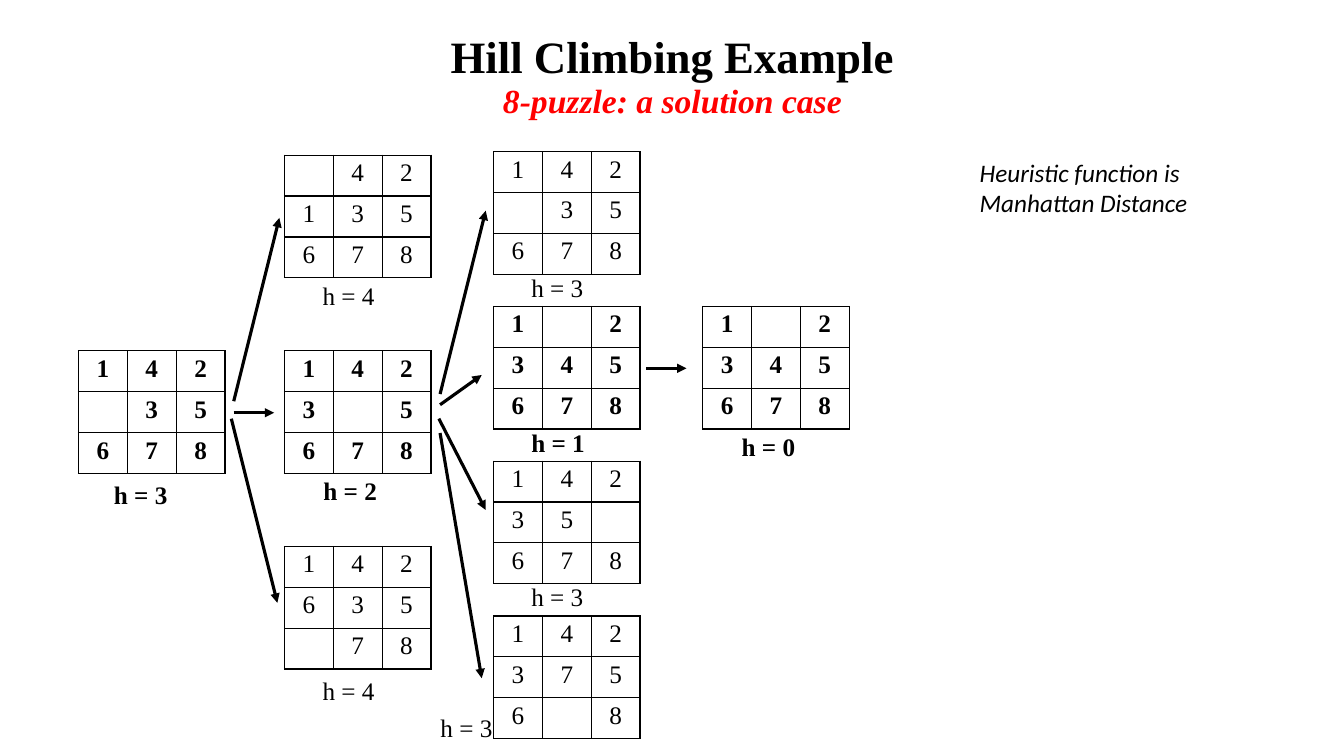
from lxml import etree
from pptx import Presentation
from pptx.dml.color import RGBColor
from pptx.enum.shapes import MSO_CONNECTOR
from pptx.enum.text import PP_ALIGN
from pptx.oxml import parse_xml
from pptx.oxml.ns import qn
from pptx.util import Cm, Pt

STRAIGHT = MSO_CONNECTOR.STRAIGHT
CENTER = PP_ALIGN.CENTER
NS = "http://schemas.openxmlformats.org/drawingml/2006/main"
SERIF = "Times New Roman"
BLACK = "000000"
CELL_W, CELL_H = 1.23, 1.03


def color(value):
    return RGBColor.from_string(value)


def add_text(x, y, w, h, lines, top=0.08):
    tf = s.shapes.add_textbox(Cm(x), Cm(y), Cm(w), Cm(h)).text_frame
    tf.word_wrap = True
    tf.margin_left = tf.margin_right = tf.margin_bottom = 0
    tf.margin_top = Cm(top)
    for i, (text, font, size, bold, italic, rgb) in enumerate(lines):
        p = tf.add_paragraph() if i else tf.paragraphs[0]
        p.text = text
        p.font.name, p.font.size = font, Pt(size)
        p.font.bold, p.font.italic = bold, italic
        p.font.color.rgb = color(rgb)
    return tf


prs = Presentation()
prs.slide_width, prs.slide_height = Cm(33.87), Cm(19.05)
s = prs.slides.add_slide(prs.slide_layouts[6])

title = add_text(3.43, 0.71, 27.03, 2.29, [
    ("Hill Climbing Example", SERIF, 32, True, False, BLACK),
    ("8-puzzle: a solution case", SERIF, 24, True, True, "FF0000"),
], top=0.06)
for p, spacing in zip(title.paragraphs, (37, 27.4)):
    p.alignment = CENTER
    p.line_spacing = Pt(spacing)

add_text(24.69, 3.89, 5.31, 1.6, [
    ("Heuristic function is Manhattan Distance", "Calibri", 18, False, True, BLACK)])

col1, col2, col3, col4 = 1.98, 7.17, 12.44, 17.71
col2_tops = [3.91 + 4.93 * i for i in range(3)]
col3_tops = [3.82 + 3.9 * i for i in range(4)]

boards = [
    (col1, col2_tops[1], ("142", " 35", "678"), True, "h = 3", 0.89, 3.17),
    (col2, col2_tops[0], (" 42", "135", "678"), False, "h = 4", 0.96, 3.08),
    (col2, col2_tops[1], ("142", "3 5", "678"), True, "h = 2", 0.98, 3.07),
    (col2, col2_tops[2], ("142", "635", " 78"), False, "h = 4", 0.96, 3.17),
    (col3, col3_tops[0], ("142", " 35", "678"), False, "h = 3", 0.95, 2.96),
    (col3, col3_tops[1], ("1 2", "345", "678"), True, "h = 1", 0.95, 2.96),
    (col3, col3_tops[2], ("142", "35 ", "678"), False, "h = 3", 0.95, 2.96),
    (col3, col3_tops[3], ("142", "375", "6 8"), False, "h = 3", -1.34, 2.35),
    (col4, col3_tops[1], ("1 2", "345", "678"), True, "h = 0", 0.98, 3.06),
]

for x, y, rows, bold, label, dx, dy in boards:
    table = s.shapes.add_table(
        3, 3, Cm(x), Cm(y), Cm(3 * CELL_W), Cm(3 * CELL_H)).table
    table.first_row = table.horz_banding = False
    for i in range(3):
        table.columns[i].width = Cm(CELL_W)
        table.rows[i].height = Cm(CELL_H)
    for r, row in enumerate(rows):
        for c, digit in enumerate(row):
            cell = table.cell(r, c)
            cell.margin_left = cell.margin_right = cell.margin_bottom = 0
            cell.margin_top = Cm(0.1)
            cell.fill.background()
            p = cell.text_frame.paragraphs[0]
            p.text = digit.strip()
            p.alignment = CENTER
            p.font.name, p.font.size, p.font.bold = SERIF, Pt(18), bold
            p.font.color.rgb = color(BLACK)
            tc_pr = cell._tc.get_or_add_tcPr()
            for i, side in enumerate(("lnL", "lnR", "lnT", "lnB")):
                tc_pr.insert(i, parse_xml(
                    f'<a:{side} xmlns:a="{NS}" w="12700"><a:solidFill>'
                    f'<a:srgbClr val="{BLACK}"/></a:solidFill></a:{side}>'))
    add_text(x + dx, y + dy, 1.6, 0.84, [(label, SERIF, 18, bold, False, BLACK)])

arrows = [
    (5.89, 10.11, 7.04, 5.49),
    (5.89, 10.4, 6.91, 10.4),
    (5.83, 10.55, 6.99, 15.19),
    (11.09, 9.93, 12.24, 5.31),
    (11.09, 10.2, 12.14, 9.45),
    (11.06, 10.55, 12.24, 12.85),
    (11.09, 10.91, 12.14, 17.09),
    (16.28, 9.28, 17.3, 9.28),
]
for x1, y1, x2, y2 in arrows:
    arrow = s.shapes.add_connector(STRAIGHT, Cm(x1), Cm(y1), Cm(x2), Cm(y2))
    arrow.line.width = Pt(2.25)
    arrow.line.color.rgb = color(BLACK)
    etree.SubElement(arrow.line._get_or_add_ln(), qn("a:tailEnd"), type="triangle")
    etree.SubElement(arrow._element.spPr, qn("a:effectLst"))

prs.save("out.pptx")
